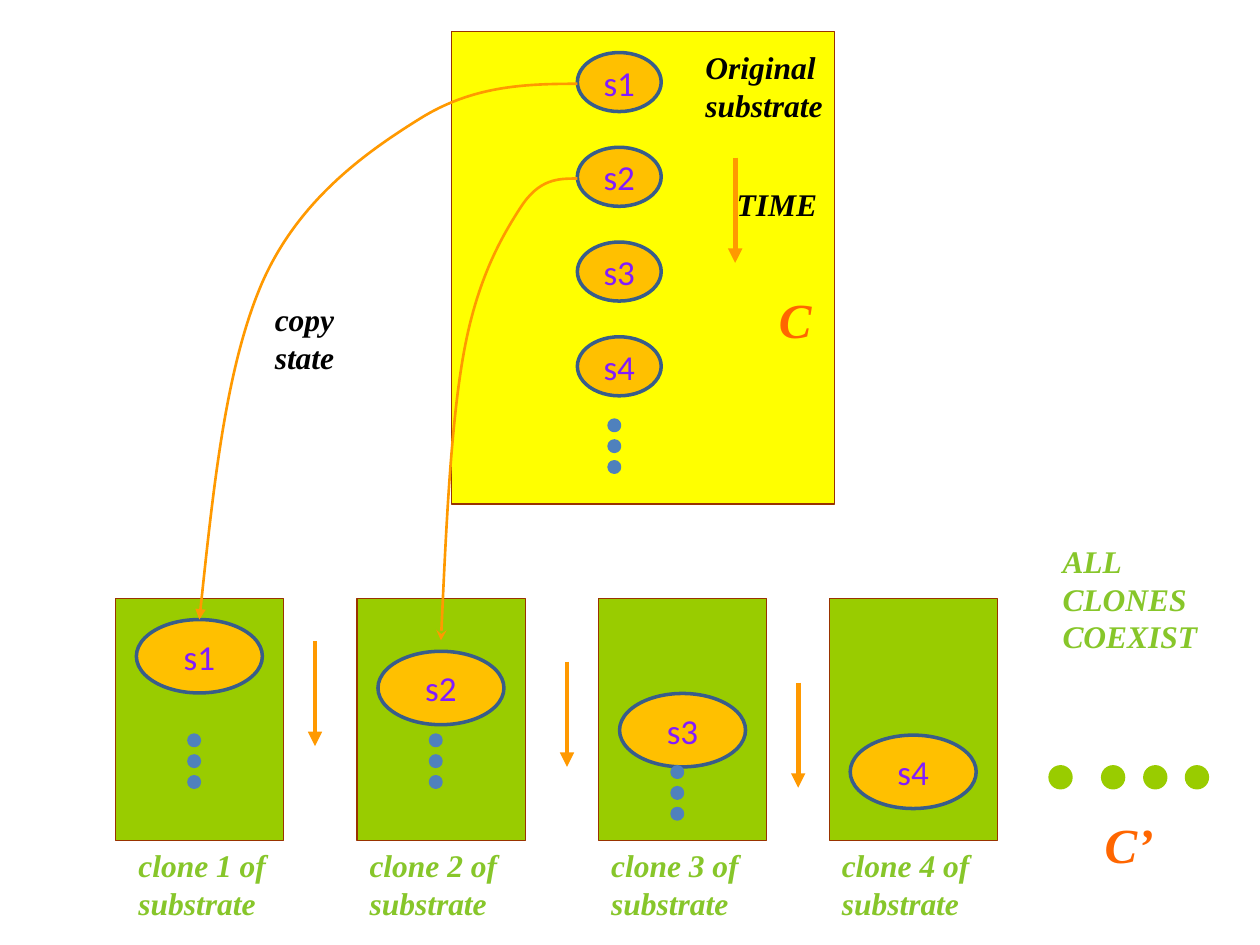
from lxml.etree import SubElement
from pptx import Presentation
from pptx.dml.color import RGBColor
from pptx.enum.shapes import MSO_CONNECTOR as Link, MSO_SHAPE as Preset
from pptx.enum.text import MSO_ANCHOR as Anchor, MSO_AUTO_SIZE as AutoSize, PP_ALIGN as Align
from pptx.oxml.ns import qn
from pptx.util import Cm, Pt

COLORS = {
    "original": "FFFF00", "clone": "99CC00", "border": "993300",
    "state": "FFC000", "state_line": "385D8A", "state_text": "821BFF",
    "dot": "4F81BD", "arrow": "FF9900", "ink": "000000",
    "caption": "87C62A", "symbol": "FF6600",
}
SERIF = "Times New Roman"
SANS = "Calibri"
CLONES = [
    {"left": 2.33, "state": 0.42, "dots": 2.75, "arrow": (4.02, 0.85), "caption": 0.21},
    {"left": 7.2, "state": 1.06, "dots": 2.75, "arrow": (4.23, 1.27), "caption": 0},
    {"left": 12.07, "state": 1.91, "dots": 3.39, "arrow": (4.02, 1.69), "caption": 0},
    {"left": 16.72, "state": 2.75, "dots": None, "arrow": None, "caption": 0},
]
COPY_CURVES = [
    ("triangle", [(11.64, 1.69), (10.58, 1.69), (9.53, 1.73), (8.47, 2.39), (7.41, 3.05),
                  (6.03, 4.01), (5.29, 5.69), (4.55, 7.39), (4.29, 9.95), (4.02, 12.49)]),
    ("stealth", [(11.64, 3.6), (11.25, 3.6), (10.87, 3.6), (10.49, 4.19), (10.11, 4.78),
                 (9.63, 5.61), (9.36, 7.06), (9.09, 8.51), (8.99, 10.73), (8.89, 12.91)]),
]


def rgb(name):
    """Return the named colour."""
    return RGBColor.from_string(COLORS[name])


def add_preset(slide, preset, box, fill, line, weight):
    """Draw a filled, outlined preset shape in a box given in centimetres."""
    shape = slide.shapes.add_shape(preset, *map(Cm, box))
    shape.shadow.inherit = False
    shape.fill.solid()
    shape.fill.fore_color.rgb = rgb(fill)
    shape.line.color.rgb = rgb(line)
    shape.line.width = Pt(weight)
    return shape


def add_state(slide, box, name):
    """Draw an oval holding the name of a state."""
    oval = add_preset(slide, Preset.OVAL, box, "state", "state_line", 2)
    frame = oval.text_frame
    frame.text = name
    frame.vertical_anchor = Anchor.MIDDLE
    label = frame.paragraphs[0]
    label.alignment = Align.CENTER
    label.font.size = Pt(20)
    label.font.name = SANS
    label.font.color.rgb = rgb("state_text")


def add_ellipsis(slide, left, top):
    """Draw three small dots one below the other."""
    for step in range(3):
        add_preset(slide, Preset.OVAL, (left, top + 0.42 * step, 0.21, 0.21), "dot", "dot", 2)


def add_label(slide, box, text, color, size=18):
    """Write bold italic serif text in a box."""
    label = slide.shapes.add_textbox(*map(Cm, box))
    frame = label.text_frame
    frame.text = text
    frame.word_wrap = True
    frame.auto_size = AutoSize.SHAPE_TO_FIT_TEXT
    for paragraph in frame.paragraphs:
        font = paragraph.font
        font.name, font.size = SERIF, Pt(size)
        font.bold = font.italic = True
        font.color.rgb = rgb(color)


def style_arrow(arrow, weight, head):
    """Colour a line and put an arrowhead at its end."""
    arrow.line.color.rgb = rgb("arrow")
    arrow.line.width = Pt(weight)
    SubElement(arrow.line._get_or_add_ln(), qn("a:tailEnd"), type=head)


def add_time_arrow(slide, left, top):
    """Draw a downward arrow for the passing of time."""
    arrow = slide.shapes.add_connector(Link.STRAIGHT, Cm(left), Cm(top), Cm(left), Cm(top + 2.12))
    style_arrow(arrow, 2.75, "triangle")
    SubElement(arrow._element.spPr, qn("a:effectLst"))


def add_copy_curve(slide, head, points):
    """Draw a Bezier arrow from a start point and triples of control points."""
    start, *controls = [(Cm(x), Cm(y)) for x, y in points]
    builder = slide.shapes.build_freeform(*start)
    builder.add_line_segments(controls, close=False)
    curve = builder.convert_to_shape()
    curve.shadow.inherit = False
    curve.fill.background()
    style_arrow(curve, 1.5, head)
    outline = next(curve._element.iter(qn("a:path")))
    segments = outline.findall(qn("a:lnTo"))
    for first in range(0, len(segments), 3):
        bezier = SubElement(outline, qn("a:cubicBezTo"))
        for segment in segments[first:first + 3]:
            bezier.append(segment[0])
            outline.remove(segment)


def draw_original(slide, left, top, width, height):
    """Draw the original substrate with its sequence of states."""
    add_preset(slide, Preset.RECTANGLE, (left, top, width, height), "original", "border", 0.75)
    for index in range(4):
        add_state(slide, (left + 2.54, top + 0.42 + 1.91 * index, 1.69, 1.19), f"s{index + 1}")
    add_ellipsis(slide, left + 3.18, top + 7.83)
    add_time_arrow(slide, left + 5.72, top + 2.54)
    add_label(slide, (left + 4.87, top + 0.21, 3.81, 1.78), "Original\nsubstrate", "ink")
    add_label(slide, (left + 5.5, top + 2.96, 2.74, 1.02), "TIME", "ink")
    add_label(slide, (left + 6.35, top + 5.08, 2.12, 1.45), "C", "symbol", 28)


def draw_clone(slide, left, top, width, height, number, clone):
    """Draw one clone with its copied state, caption and time arrow."""
    add_preset(slide, Preset.RECTANGLE, (left, top, width, height), "clone", "border", 0.75)
    add_state(slide, (left + 0.42, top + clone["state"], 2.54, 1.48), f"s{number}")
    if clone["dots"]:
        add_ellipsis(slide, left + 1.48, top + clone["dots"])
    if clone["arrow"]:
        across, down = clone["arrow"]
        add_time_arrow(slide, left + across, top + down)
    separator = "\n" if number < len(CLONES) else " "
    caption_box = (left + clone["caption"], top + height, width, 1.78)
    add_label(slide, caption_box, f"clone {number} of{separator}substrate", "caption")


def draw_coexistence(slide, left, top, width):
    """Draw the note on coexisting clones, the dots and the symbol below it."""
    add_label(slide, (left, top, width, 2.54), "ALL CLONES COEXIST", "caption")
    for offset in (0, 1.06, 1.91, 2.75):
        add_preset(slide, Preset.OVAL, (left + offset, top + 4.66, 0.42, 0.42), "clone", "clone", 2)
    add_label(slide, (left + 0.85, top + 5.5, 2.12, 1.45), "C’", "symbol", 28)


def main():
    """Build the slide and save it."""
    deck = Presentation()
    deck.slide_width, deck.slide_height = Cm(25.4), Cm(19.05)
    slide = deck.slides.add_slide(deck.slide_layouts[6])
    draw_original(slide, 9.1, 0.64, 7.73, 9.52)
    for number, clone in enumerate(CLONES, 1):
        draw_clone(slide, clone["left"], 12.07, 3.39, 4.87, number, clone)
    for head, points in COPY_CURVES:
        add_copy_curve(slide, head, points)
    add_label(slide, (5.29, 5.93, 2.12, 1.78), "copy state", "ink")
    draw_coexistence(slide, 21.17, 10.8, 3.39)
    deck.save("out.pptx")


if __name__ == "__main__":
    main()
